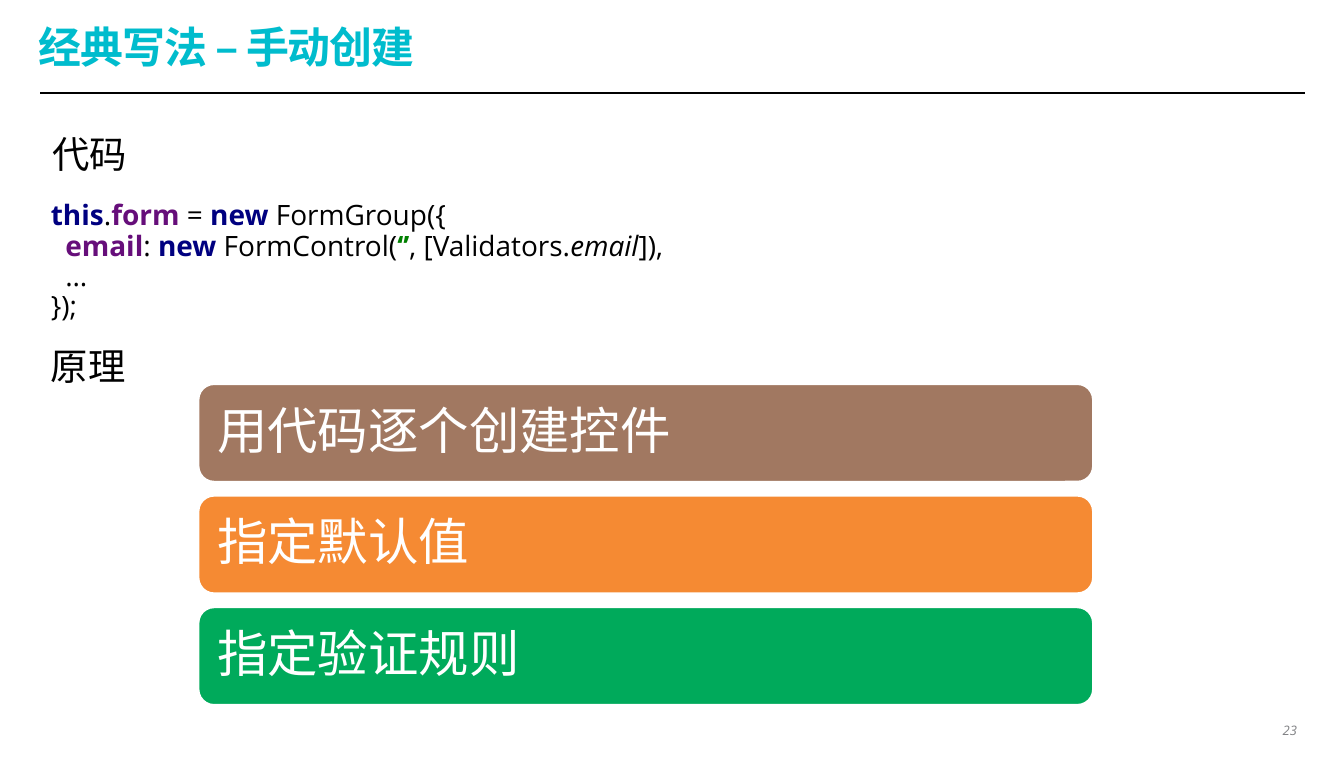
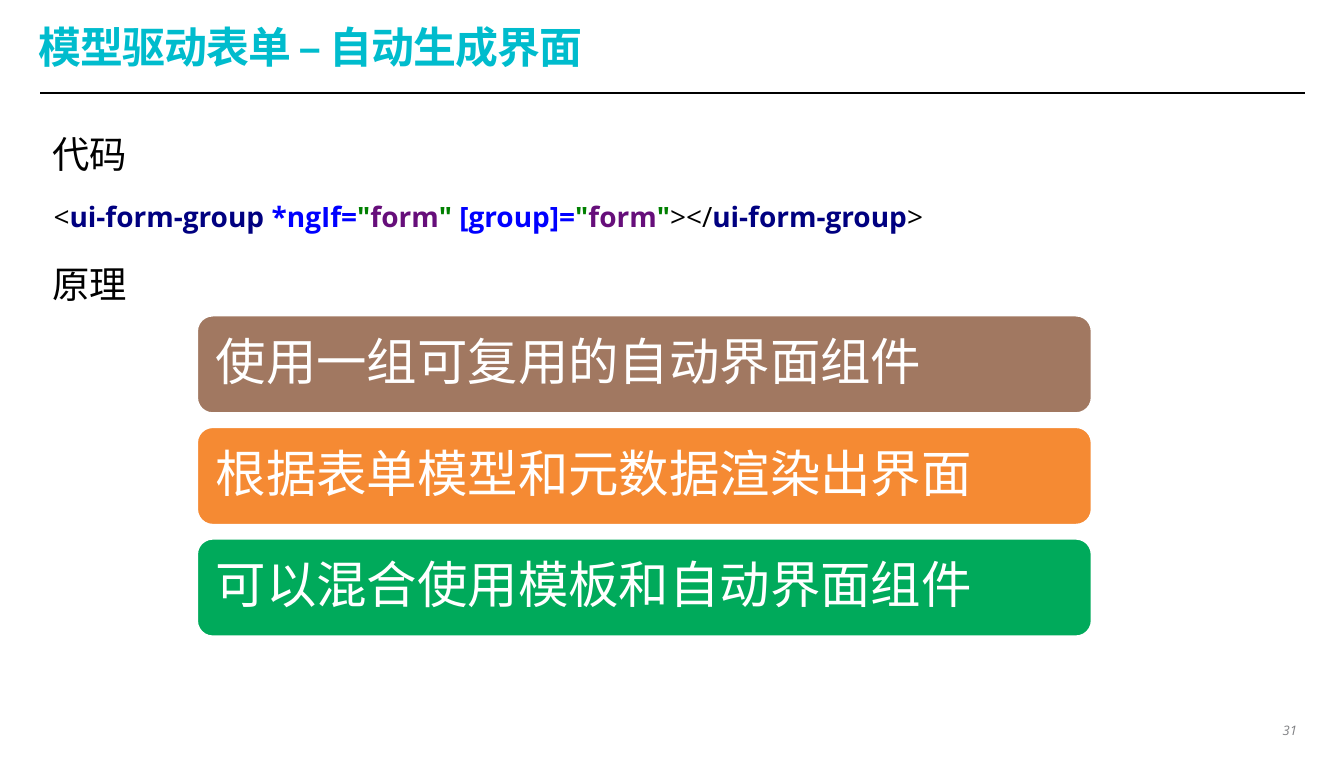
from dataclasses import dataclass

from lxml.etree import SubElement
from pptx import Presentation
from pptx.dml.color import RGBColor
from pptx.enum.shapes import MSO_CONNECTOR, MSO_SHAPE
from pptx.enum.text import MSO_ANCHOR, MSO_AUTO_SIZE, PP_ALIGN
from pptx.oxml.ns import qn
from pptx.util import Inches, Pt


@dataclass(frozen=True)
class Theme:
    cjk: str = "Noto Sans CJK JP"
    latin: str = "Open Sans"
    body: str = "Arial"
    title: str = "00BCCD"
    ink: str = "000000"
    white: str = "FFFFFF"
    muted: str = "808184"
    navy: str = "000080"
    blue: str = "0000FF"
    purple: str = "660E7A"
    green: str = "008000"
    bars: tuple = ("A17861", "F58A33", "00AA5B")
    title_size: float = 23
    heading_size: float = 20
    code_size: float = 15
    bar_size: float = 27
    number_size: float = 7


THEME = Theme()
BAR_WIDTH, BAR_HEIGHT, BAR_PITCH = 6.67, 0.74, 0.83

CODE_STYLES = {
    "plain": dict(color=THEME.ink),
    "method": dict(color=THEME.ink, italic=True),
    "keyword": dict(color=THEME.navy, bold=True),
    "attribute": dict(color=THEME.blue, bold=True),
    "member": dict(color=THEME.purple, bold=True),
    "string": dict(color=THEME.green, bold=True),
}

FORM_GROUP_CODE = [
    [
        ("this", "keyword"), (".", "plain"), ("form ", "member"), ("= ", "plain"),
        ("new ", "keyword"), ("FormGroup({\n  ", "plain"),
        ("email", "member"), (": ", "plain"), ("new ", "keyword"),
        ("FormControl(", "plain"), ("‘’", "string"), (", [Validators.", "plain"),
        ("email", "method"), ("]),\n  …", "plain"),
    ],
    [("});", "plain")],
]

TEMPLATE_CODE = [
    [
        ("<", "plain"), ("ui-form-group ", "keyword"),
        ("*ngIf=", "attribute"), ('"', "string"), ("form", "member"), ('" ', "string"),
        ("[group]=", "attribute"), ('"', "string"), ("form", "member"), ('"', "string"),
        ("></", "plain"), ("ui-form-group", "keyword"), (">", "plain"),
    ],
]


def set_attributes(target, values):
    for name, value in values.items():
        setattr(target, name, value)


def add_run(paragraph, text, color, spacing=None, **font_values):
    """Append text in one format, turning each newline into a line break."""
    for index, line in enumerate(text.split("\n")):
        if index:
            paragraph.add_line_break()
        run = paragraph.add_run()
        run.text = line
        set_attributes(run.font, font_values)
        run.font.color.rgb = RGBColor.from_string(color)
        properties = run.font._element
        SubElement(properties, qn("a:ea"), typeface=THEME.cjk)
        if spacing is not None:
            properties.set("spc", str(round(spacing * 100)))


def add_text_box(slide, left, top, width, height, **frame_values):
    box = slide.shapes.add_textbox(
        Inches(left), Inches(top), Inches(width), Inches(height))
    set_attributes(box.text_frame, dict(word_wrap=True) | frame_values)
    return box.text_frame


def margins(horizontal, vertical):
    return dict(margin_left=Inches(horizontal), margin_right=Inches(horizontal),
                margin_top=Inches(vertical), margin_bottom=Inches(vertical))


def add_title(slide, text):
    frame = add_text_box(slide, 0.29, 0.18, 9.41, 0.42,
                         vertical_anchor=MSO_ANCHOR.MIDDLE, **margins(0, 0))
    paragraph = frame.paragraphs[0]
    paragraph.line_spacing = 0.7
    add_run(paragraph, text, THEME.title, spacing=-0.6, name=THEME.cjk,
            size=Pt(THEME.title_size), bold=True)


def add_title_rule(slide):
    rule = slide.shapes.add_connector(
        MSO_CONNECTOR.STRAIGHT, Inches(0.3), Inches(0.69), Inches(9.71), Inches(0.69))
    rule.line.color.rgb = RGBColor.from_string(THEME.ink)
    rule.line.width = Pt(1)
    SubElement(rule._element.spPr, qn("a:effectLst"))


def add_page_number(slide, number):
    frame = add_text_box(slide, 9.5, 5.34, 0.21, 0.17, **margins(0.06, 0.03))
    # Leaves room for two digits on one line.
    set_attributes(frame, dict(margin_left=Inches(0), word_wrap=False))
    paragraph = frame.paragraphs[0]
    paragraph.alignment = PP_ALIGN.RIGHT
    add_run(paragraph, str(number), THEME.muted, name=THEME.latin,
            size=Pt(THEME.number_size), italic=True)


def add_heading(slide, text, left, top):
    frame = add_text_box(slide, left, top, 4, 0.44,
                         auto_size=MSO_AUTO_SIZE.SHAPE_TO_FIT_TEXT)
    add_run(frame.paragraphs[0], text, THEME.ink, name=THEME.cjk,
            size=Pt(THEME.heading_size))


def add_code(slide, code, left, top, width, height):
    frame = add_text_box(slide, left, top, width, height,
                         auto_size=MSO_AUTO_SIZE.SHAPE_TO_FIT_TEXT)
    for index, tokens in enumerate(code):
        paragraph = frame.add_paragraph() if index else frame.paragraphs[0]
        paragraph.line_spacing = 0.9
        for text, style in tokens:
            add_run(paragraph, text, name=THEME.latin, size=Pt(THEME.code_size),
                    **CODE_STYLES[style])


def add_principle_bar(slide, text, fill, left, top):
    bar = slide.shapes.add_shape(
        MSO_SHAPE.ROUNDED_RECTANGLE, Inches(left), Inches(top),
        Inches(BAR_WIDTH), Inches(BAR_HEIGHT))
    bar.shadow.inherit = False
    bar.fill.solid()
    bar.fill.fore_color.rgb = RGBColor.from_string(fill)
    bar.line.color.rgb = RGBColor.from_string(THEME.white)
    bar.line.width = Pt(2)
    set_attributes(bar.text_frame, dict(
        word_wrap=True, vertical_anchor=MSO_ANCHOR.MIDDLE, **margins(0.11, 0.11)))
    paragraph = bar.text_frame.paragraphs[0]
    set_attributes(paragraph, dict(alignment=PP_ALIGN.LEFT, line_spacing=0.9))
    add_run(paragraph, text, THEME.white, name=THEME.body, size=Pt(THEME.bar_size))


def add_principles(slide, principles, left, top):
    for row, (text, fill) in enumerate(zip(principles, THEME.bars)):
        add_principle_bar(slide, text, fill, left, top + row * BAR_PITCH)


def add_base_slide(deck, title, number):
    """Add a slide with the title, rule, page number and code heading all share."""
    slide = deck.slides.add_slide(deck.slide_layouts[6])
    add_title_rule(slide)
    add_title(slide, title)
    add_page_number(slide, number)
    add_heading(slide, "代码", 0.29, 0.93)
    return slide


def main():
    deck = Presentation()
    deck.slide_width, deck.slide_height = Inches(10), Inches(5.63)

    manual = add_base_slide(deck, "经典写法 – 手动创建", 23)
    add_code(manual, FORM_GROUP_CODE, 0.28, 1.45, 5, 1.01)
    add_heading(manual, "原理", 0.28, 2.5)
    add_principles(manual, ["用代码逐个创建控件", "指定默认值", "指定验证规则"], 1.47, 2.85)

    generated = add_base_slide(deck, "模型驱动表单 – 自动生成界面", 31)
    add_code(generated, TEMPLATE_CODE, 0.3, 1.46, 7.01, 0.33)
    add_heading(generated, "原理", 0.29, 1.89)
    add_principles(generated, [
        "使用一组可复用的自动界面组件",
        "根据表单模型和元数据渲染出界面",
        "可以混合使用模板和自动界面组件",
    ], 1.46, 2.34)

    deck.save("out.pptx")


if __name__ == "__main__":
    main()
